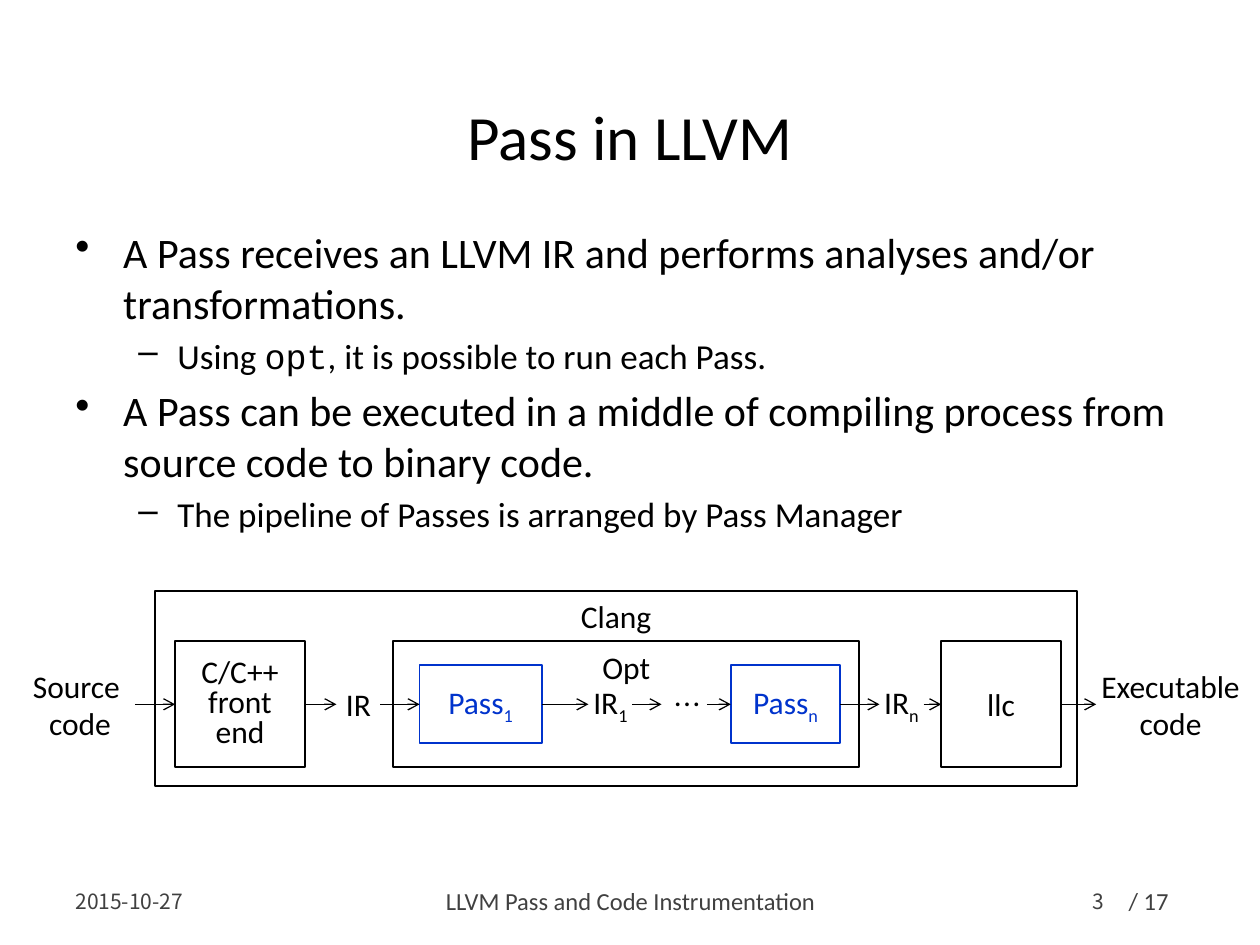
from collections import namedtuple

from lxml.etree import SubElement
from pptx import Presentation
from pptx.dml.color import RGBColor
from pptx.enum.shapes import MSO_CONNECTOR, MSO_SHAPE
from pptx.enum.text import MSO_ANCHOR, PP_ALIGN
from pptx.oxml.ns import qn
from pptx.util import Inches, Pt

# Grid of 100 columns by 75 rows, each cell a tenth of an inch
CELL = 0.1
COLUMNS, ROWS = 100, 75
BLACK, WHITE, BLUE, GREY = "000000", "FFFFFF", "0033CC", "404040"
SANS, MONO, CJK = "Calibri", "Courier New", "Noto Sans CJK KR"

Box = namedtuple("Box", "left top width height")


def cells(count):
    return Inches(count * CELL)


def color(hex_string):
    return RGBColor.from_string(hex_string)


def style(run, size, font=SANS, ink=BLACK):
    run.font.size = Pt(size)
    run.font.name = font
    run.font.color.rgb = color(ink)
    if font == CJK:
        SubElement(run.font._element, qn("a:ea")).set("typeface", font)


def write(part, text, size, font=SANS, ink=BLACK, align=PP_ALIGN.CENTER,
          anchor=MSO_ANCHOR.MIDDLE, spacing=None, flush=False):
    frame = part.text_frame
    frame.text = text
    frame.word_wrap = True
    frame.vertical_anchor = anchor
    if flush:
        frame.margin_left = frame.margin_right = 0
    for paragraph in frame.paragraphs:
        paragraph.alignment = align
        if spacing:
            paragraph.line_spacing = spacing
        for run in paragraph.runs:
            style(run, size, font, ink)


def add_label(slide, box, text, size, **options):
    label = slide.shapes.add_textbox(*map(cells, box))
    write(label, text, size, **options)
    return label


def add_block(slide, box, text, ink=BLACK, fill=WHITE, **options):
    block = slide.shapes.add_shape(MSO_SHAPE.RECTANGLE, *map(cells, box))
    block.shadow.inherit = False
    if fill:
        block.fill.solid()
        block.fill.fore_color.rgb = color(fill)
    else:
        block.fill.background()
    block.line.color.rgb = color(ink)
    block.line.width = Pt(1)
    write(block, text, 18, ink=ink, **options)
    return block


def add_subscript(part, text, ink):
    run = part.text_frame.paragraphs[0].add_run()
    run.text = text
    style(run, 18, ink=ink)
    run.font._element.set("baseline", "-25000")


def add_arrow(slide, start, end):
    arrow = slide.shapes.add_connector(MSO_CONNECTOR.STRAIGHT, 0, 0, 0, 0)
    arrow.begin_connect(start, 3)
    arrow.end_connect(end, 1)
    arrow.line.color.rgb = color(BLACK)
    arrow.line.width = Pt(0.75)
    SubElement(arrow.line._get_or_add_ln(), qn("a:tailEnd")).set("type", "arrow")
    SubElement(arrow._element.spPr, qn("a:effectLst"))


def add_points(slide, box):
    # Per level: bullet, text indent, hanging indent, size
    levels = [("•", 0.38, 0.38, 24), ("–", 0.81, 0.31, 20)]
    points = [
        (0, [("A Pass receives an LLVM IR and performs analyses and/or transformations.", SANS)]),
        (1, [("Using ", SANS), ("opt", MONO), (", it is possible to run each Pass.", SANS)]),
        (0, [("A Pass can be executed in a middle of compiling process from "
              "source code to binary code.", SANS)]),
        (1, [("The pipeline of Passes is arranged by Pass Manager", SANS)]),
    ]
    frame = slide.shapes.add_textbox(*map(cells, box)).text_frame
    frame.word_wrap = True
    for number, (level, pieces) in enumerate(points):
        paragraph = frame.add_paragraph() if number else frame.paragraphs[0]
        bullet, indent, hanging, size = levels[level]
        properties = paragraph._p.get_or_add_pPr()
        properties.set("marL", str(Inches(indent)))
        properties.set("indent", str(-Inches(hanging)))
        SubElement(properties, qn("a:buChar")).set("char", bullet)
        paragraph.level = level
        if number:
            paragraph.space_before = Pt(size * 0.2)
        for text, font in pieces:
            run = paragraph.add_run()
            run.text = text
            style(run, size, font)


def add_pipeline(slide, box):
    # Frames around the tools
    for frame, name, flush in [(Box(10.3, 0, 73.2, 15.5), "Clang", True),
                               (Box(29.2, 4, 37, 10), "Opt", False)]:
        place = Box(box.left + frame.left, box.top + frame.top, frame.width, frame.height)
        add_block(slide, place, name, fill=None, anchor=MSO_ANCHOR.TOP, flush=flush)

    # Steps: gap before, width, height, text, subscript, outline, further options
    data, tool, one_pass = 9.1, 10, 6.2
    steps = [
        (0, 8.7, data, "Source \vcode", "", None, {}),
        (3.2, 10.3, tool, "C/C++\nfront\nend", "", BLACK, {"spacing": 0.8}),
        (2.5, 3.5, data, "IR", "", None, {}),
        (3.1, 9.7, one_pass, "Pass", "1", BLUE, {}),
        (3.7, 3.5, data, "IR", "1", None, {}),
        (2.3, 3.6, 3.7, "…", "", None, {"font": CJK}),
        (1.9, 8.7, one_pass, "Pass", "n", BLUE, {}),
        (3.1, 3.5, data, "IR", "n", None, {}),
        (1.4, 9.5, tool, "llc", "", BLACK, {}),
        (2.8, 11.8, data, "Executable code", "", None, {}),
    ]
    middle = box.top + 9
    left, previous = box.left, None
    for gap, width, height, text, subscript, outline, options in steps:
        left += gap
        place = Box(left, middle - height / 2, width, height)
        if outline:
            step = add_block(slide, place, text, ink=outline, flush=True, **options)
        else:
            size = 16 if text == "…" else 18
            step = add_label(slide, place, text, size, flush=size == 18, **options)
        if subscript:
            add_subscript(step, subscript, outline or BLACK)
        if previous:
            add_arrow(slide, previous, step)
        left, previous = left + width, step


def add_footer(slide, box):
    # Date, title, page number and page count, side by side
    parts = [
        (11.1, "2015-10-27", 12, CJK, PP_ALIGN.LEFT),
        (67.9, "LLVM Pass and Code Instrumentation", 14, SANS, PP_ALIGN.CENTER),
        (4.6, "3", 12, CJK, PP_ALIGN.RIGHT),
        (8.3, "/ 17", 14, SANS, PP_ALIGN.LEFT),
    ]
    left = box.left
    for width, text, size, font, align in parts:
        add_label(slide, Box(left, box.top, width, box.height), text, size,
                  font=font, ink=GREY, align=align)
        left += width


def main():
    presentation = Presentation()
    presentation.slide_width, presentation.slide_height = cells(COLUMNS), cells(ROWS)
    slide = presentation.slides.add_slide(presentation.slide_layouts[6])
    add_label(slide, Box(5, 4.5, 90, 12.5), "Pass in LLVM", 36)
    add_points(slide, Box(5, 17.5, 90, 27.1))
    add_pipeline(slide, Box(2, 46.9, 96.8, 15.5))
    add_footer(slide, Box(5, 69.5, 91.9, 4))
    presentation.save("out.pptx")


if __name__ == "__main__":
    main()
